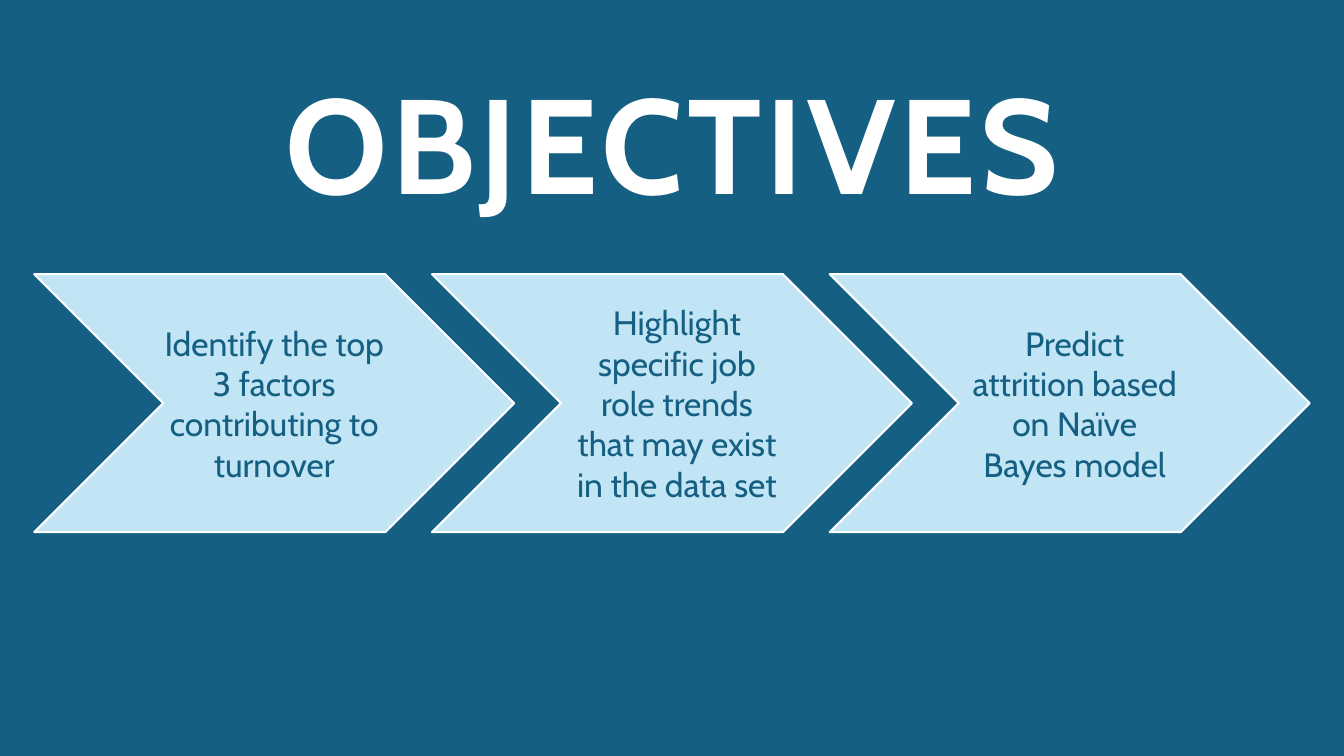
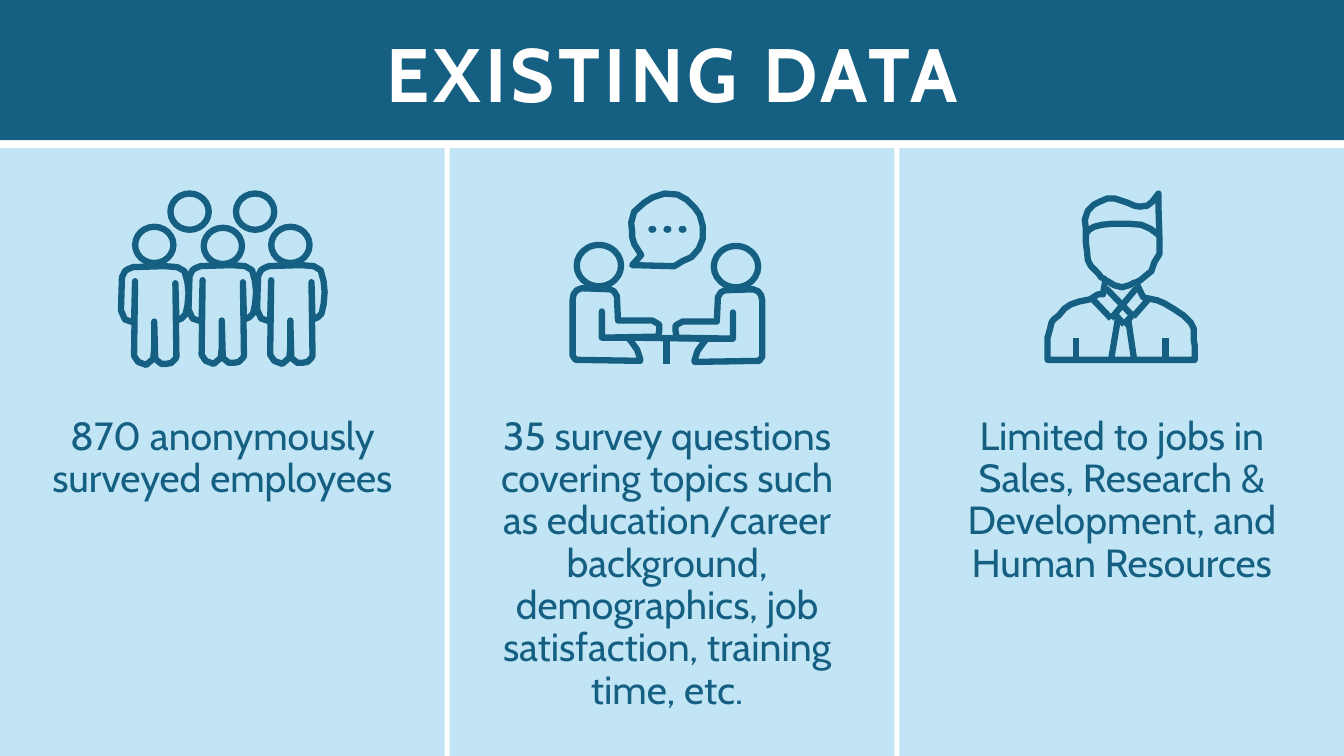
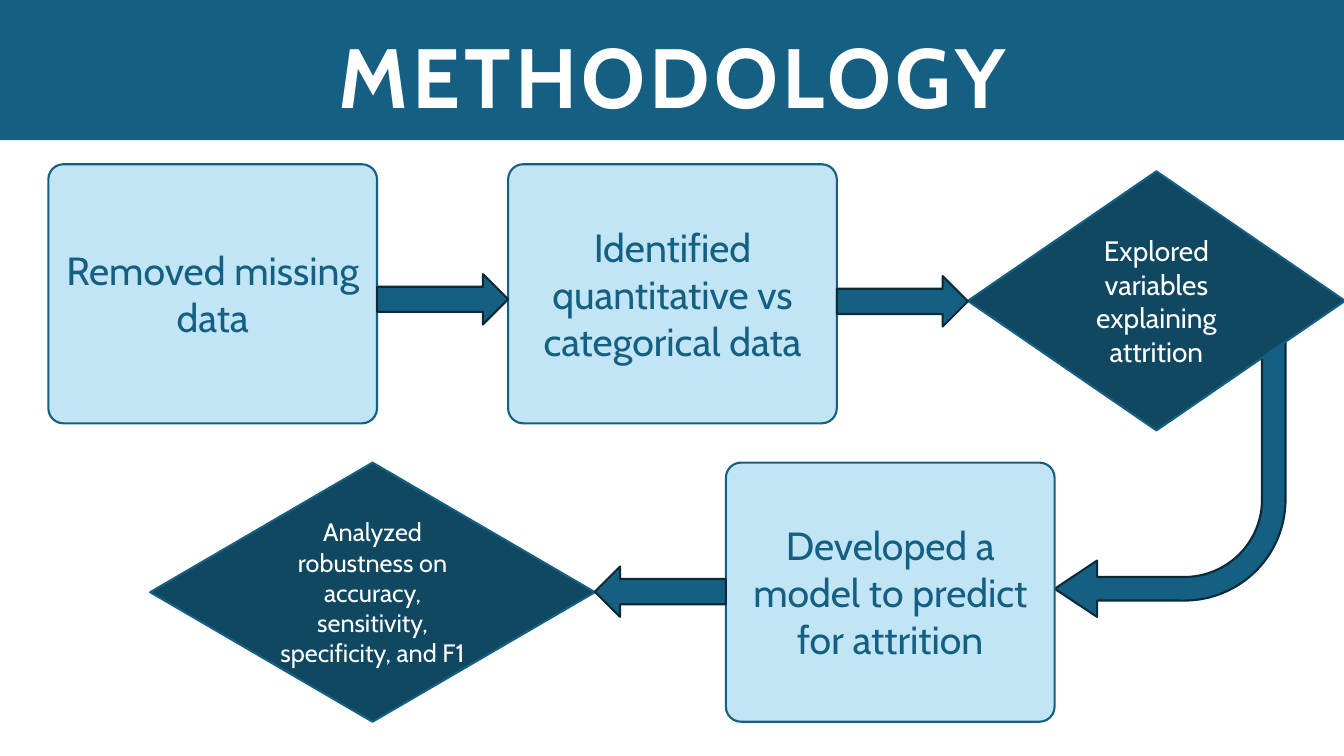
from lxml import etree
from pptx import Presentation
from pptx.dml.color import RGBColor
from pptx.enum.shapes import MSO_CONNECTOR, MSO_SHAPE
from pptx.enum.text import MSO_ANCHOR, MSO_AUTO_SIZE, PP_ALIGN
from pptx.oxml.ns import qn
from pptx.util import Inches, Pt

RECTANGLE = MSO_SHAPE.RECTANGLE
ROUNDED = MSO_SHAPE.ROUNDED_RECTANGLE
CHEVRON = MSO_SHAPE.CHEVRON
OVAL = MSO_SHAPE.OVAL
DECISION = MSO_SHAPE.FLOWCHART_DECISION
RIGHT_ARROW = MSO_SHAPE.RIGHT_ARROW
LEFT_ARROW = MSO_SHAPE.LEFT_ARROW
BENT_ARROW = MSO_SHAPE.BENT_ARROW
STRAIGHT = MSO_CONNECTOR.STRAIGHT
TOP, MIDDLE, BOTTOM = MSO_ANCHOR.TOP, MSO_ANCHOR.MIDDLE, MSO_ANCHOR.BOTTOM
CENTER = PP_ALIGN.CENTER
NO_AUTOFIT = MSO_AUTO_SIZE.NONE

COLORS = {
    "teal": "156082",
    "deep": "104862",
    "night": "092A39",
    "sky": "C1E5F5",
    "white": "FFFFFF",
}
FONT = "Cabin"
ICON_LINE = 4.5
SHAPE_LINE = 1.5

# Icon outlines; a person is measured from its own top left corner
PERSON = [
    (0.01, 0.11), (0, 0.44), (0.04, 0.53), (0.13, 0.56), (0.14, 0.15),
    (0.13, 0.89), (0.17, 0.95), (0.25, 0.98), (0.32, 0.92), (0.33, 0.82),
    (0.33, 0.55), (0.34, 0.92), (0.4, 0.97), (0.45, 0.97), (0.5, 0.96),
    (0.54, 0.92), (0.55, 0.9), (0.54, 0.17), (0.55, 0.54), (0.6, 0.52),
    (0.64, 0.48), (0.66, 0.39), (0.67, 0.27), (0.66, 0.16), (0.63, 0.05),
    (0.56, 0.01), (0.43, 0), (0.12, 0.01), (0.07, 0.03), (0.04, 0.05),
]
SITTER = [
    (5.77, 2.86), (6.05, 2.87), (6.09, 2.89), (6.12, 2.94), (6.12, 2.96),
    (6.13, 3.18), (6.47, 3.18), (6.54, 3.22), (6.54, 3.27), (6.53, 3.33),
    (6.51, 3.34), (5.97, 3.35), (5.97, 3.09), (5.97, 3.35), (6.23, 3.35),
    (6.27, 3.4), (6.32, 3.47), (6.35, 3.56), (6.35, 3.58), (5.71, 3.57),
    (5.68, 3.53), (5.68, 2.97), (5.69, 2.92), (5.72, 2.88),
]
SPEECH_BUBBLE = [
    (6.27, 2.63), (6.36, 2.53), (6.29, 2.42), (6.27, 2.35), (6.27, 2.3),
    (6.26, 2.21), (6.29, 2.1), (6.39, 2.01), (6.47, 1.96), (6.59, 1.92),
    (6.72, 1.93), (6.81, 1.98), (6.89, 2.06), (6.94, 2.13), (6.97, 2.24),
    (6.97, 2.37), (6.93, 2.47), (6.86, 2.55), (6.77, 2.59), (6.69, 2.64),
    (6.66, 2.64),
]
WORKER = [
    (10.39, 3.57), (10.39, 3.35), (10.41, 3.28), (10.43, 3.2), (10.45, 3.17),
    (10.5, 3.13), (10.56, 3.06), (10.62, 3.02), (10.71, 2.99), (10.81, 2.97),
    (10.89, 2.92), (10.94, 2.92), (10.96, 2.8), (10.96, 2.77), (10.92, 2.75),
    (10.9, 2.72), (10.82, 2.64), (10.79, 2.58), (10.78, 2.48), (10.77, 2.41),
    (10.77, 2.27), (10.76, 2.18), (10.79, 2.09), (10.85, 2.03), (10.91, 2),
    (10.98, 1.97), (11.06, 1.97), (11.12, 1.99), (11.18, 2.01), (11.25, 2.04),
    (11.3, 2.05), (11.38, 2.04), (11.43, 2), (11.49, 1.92), (11.49, 2.04),
    (11.5, 2.37), (11.5, 2.52), (11.45, 2.6), (11.42, 2.69), (11.31, 2.78),
    (11.27, 2.8), (11.3, 2.87), (11.34, 2.95), (11.48, 2.98), (11.55, 3.01),
    (11.65, 3.07), (11.74, 3.13), (11.81, 3.2), (11.84, 3.26), (11.84, 3.37),
    (11.85, 3.43), (11.85, 3.57),
]
HAIRLINE = [
    (10.77, 2.32), (10.8, 2.28), (10.85, 2.25), (10.93, 2.23), (11.03, 2.22),
    (11.2, 2.22), (11.32, 2.23), (11.41, 2.27), (11.49, 2.33),
]
CHIN = [(10.97, 2.78), (11.05, 2.83), (11.13, 2.85), (11.2, 2.83), (11.26, 2.8)]
SUIT_LINES = [
    (10.67, 3.35, 10.67, 3.58), (11.56, 3.35, 11.56, 3.58),  # sleeves
    (10.83, 2.96, 11.02, 3.16), (10.97, 2.86, 11.24, 3.14),  # collar
    (11.27, 2.86, 11.02, 3.16), (11.39, 2.97, 11.24, 3.14),
    (11.23, 3.13, 11.14, 3.22), (11.15, 3.22, 11.06, 3.12),  # tie
    (11.02, 3.57, 11.09, 3.15), (11.25, 3.58, 11.19, 3.17),
]


def write_text(frame, text, *, size, color="teal", bold=False, tracking=0,
               anchor=MIDDLE, line_spacing=None, space_before=0, inset=None):
    """Fill a text frame with one centred paragraph; inset is (left, others)."""
    frame.word_wrap = True
    frame.auto_size = NO_AUTOFIT
    frame.vertical_anchor = anchor
    if inset:
        frame.margin_left = Inches(inset[0])
        frame.margin_top = frame.margin_right = frame.margin_bottom = Inches(inset[1])
    para = frame.paragraphs[0]
    para.alignment = CENTER
    para.line_spacing = line_spacing
    para.space_before = Pt(space_before)
    span = para.add_run()
    span.text = text
    span.font.name = FONT
    span.font.size = Pt(size)
    span.font.bold = bold
    span.font.color.rgb = RGBColor.from_string(COLORS[color])
    if tracking:
        span._r.get_or_add_rPr().set("spc", str(tracking * 100))


class Deck:
    def __init__(self):
        self.deck = Presentation()
        self.deck.slide_width = Inches(13.33)
        self.deck.slide_height = Inches(7.5)
        self.slide = None
        self.shapes = None

    def add_slide(self, title, *, top, size, background="white", band=True):
        self.slide = self.deck.slides.add_slide(self.deck.slide_layouts[5])
        self.shapes = self.slide.shapes
        fill = self.slide.background.fill
        fill.solid()
        fill.fore_color.rgb = RGBColor.from_string(COLORS[background])
        box = self.shapes.title
        box.left, box.top = Inches(1.67), Inches(top)
        box.width, box.height = Inches(10), Inches(0.84)
        write_text(box.text_frame, title, size=size, color="white", bold=True,
                   tracking=3, anchor=BOTTOM, line_spacing=0.9)
        if band:
            strip = self.add_shape(RECTANGLE, 0, 0, 13.33, 1.39, fill="teal")
            box.element.addprevious(strip.element)

    def start_icon(self):
        self.shapes = self.slide.shapes.add_group_shape().shapes

    def paint(self, shape, fill, line, weight):
        shape.shadow.inherit = False
        if fill:
            shape.fill.solid()
            shape.fill.fore_color.rgb = RGBColor.from_string(COLORS[fill])
        else:
            shape.fill.background()
        if line:
            shape.line.color.rgb = RGBColor.from_string(COLORS[line])
            shape.line.width = Pt(weight)
        else:
            shape.line.fill.background()

    def add_shape(self, kind, left, top, width, height, *, fill=None, line=None,
                  weight=SHAPE_LINE, adjust=(), text=None, **text_format):
        shape = self.shapes.add_shape(
            kind, Inches(left), Inches(top), Inches(width), Inches(height))
        self.paint(shape, fill, line, weight)
        for index, value in enumerate(adjust):
            shape.adjustments[index] = value
        if text:
            write_text(shape.text_frame, text, **text_format)
        return shape

    def add_text(self, text, left, top, width, height, **text_format):
        box = self.shapes.add_textbox(
            Inches(left), Inches(top), Inches(width), Inches(height))
        write_text(box.text_frame, text, **text_format)

    def add_outline(self, points, closed=True):
        corners = [(Inches(x), Inches(y)) for x, y in points]
        builder = self.shapes.build_freeform(*corners[0])
        builder.add_line_segments(corners[1:], close=closed)
        self.paint(builder.convert_to_shape(), None, "teal", ICON_LINE)

    def add_ring(self, left, top, width, height):
        self.add_shape(OVAL, left, top, width, height, line="teal", weight=ICON_LINE)

    def add_stroke(self, *ends):
        stroke = self.shapes.add_connector(STRAIGHT, *(Inches(end) for end in ends))
        stroke.line.color.rgb = RGBColor.from_string(COLORS["teal"])
        stroke.line.width = Pt(ICON_LINE)
        etree.SubElement(stroke.element.spPr, qn("a:effectLst"))


def build_objectives(deck):
    deck.add_slide("OBJECTIVES", top=1.43, size=96, background="teal", band=False)
    goals = [
        ("Identify the top 3 factors contributing to turnover", 0),
        ("Highlight specific job role trends that may exist in the data set", 0.1),
        ("Predict attrition based on Naïve Bayes model", 0.1),
    ]
    for index, (goal, left_inset) in enumerate(goals):
        deck.add_shape(CHEVRON, 0.34 + 3.945 * index, 2.72, 4.76, 2.56, fill="sky",
                       line="white", text=goal, size=24, inset=(left_inset, 0))


def draw_crowd(deck):
    deck.start_icon()
    for left, top in [(1.2, 2.64), (1.87, 2.63), (2.55, 2.63)]:
        deck.add_outline([(left + x, top + y) for x, y in PERSON])
    for left, top in [(1.34, 2.25), (1.69, 1.92), (2.34, 1.92), (2.02, 2.26), (2.69, 2.25)]:
        deck.add_ring(left, top, 0.38, 0.36)


def draw_interview(deck):
    deck.start_icon()
    deck.add_outline(SITTER)
    deck.add_outline([(13.24 - x, y + 0.01) for x, y in SITTER])
    deck.add_outline(SPEECH_BUBBLE)
    deck.add_ring(5.72, 2.43, 0.44, 0.41)
    deck.add_ring(7.08, 2.44, 0.44, 0.41)
    for index in range(3):
        deck.add_shape(OVAL, 6.43 + 0.15 * index, 2.24, 0.08, 0.07, fill="teal")
    # Table
    deck.add_stroke(6.27, 3.35, 6.96, 3.36)
    deck.add_stroke(6.61, 3.35, 6.61, 3.61)


def draw_worker(deck):
    deck.start_icon()
    deck.add_outline(WORKER)
    deck.add_outline(HAIRLINE, closed=False)
    deck.add_outline(CHIN, closed=False)
    for ends in SUIT_LINES:
        deck.add_stroke(*ends)


def build_existing_data(deck):
    deck.add_slide("EXISTING DATA", top=0.39, size=54)
    facts = [
        (0.36, "870 anonymously surveyed employees"),
        (4.77, "35 survey questions covering topics such as education/career "
               "background, demographics, job satisfaction, training time, etc."),
        (9.28, "Limited to jobs in Sales, Research & Development, and Human Resources"),
    ]
    for index, (left, fact) in enumerate(facts):
        deck.add_shape(RECTANGLE, 4.46 * index, 1.47, 4.41, 6.03, fill="sky")
        deck.add_text(fact, left, 4.08, 3.69, 3.15, size=28, anchor=TOP,
                      line_spacing=0.9, space_before=10)
    draw_crowd(deck)
    draw_interview(deck)
    draw_worker(deck)


def build_methodology(deck):
    deck.add_slide("METHODOLOGY", top=0.47, size=60)
    # The bent arrow starts behind the first decision
    bend = deck.add_shape(BENT_ARROW, 10.46, 3.22, 2.29, 2.9, fill="teal",
                          line="night", adjust=(0.102, 0.122, 0.184, 0.438))
    bend.rotation = 180
    # Steps
    steps = [
        (0.48, 1.63, "Removed missing data"),
        (5.04, 1.63, "Identified quantitative vs categorical data"),
        (7.2, 4.59, "Developed a model to predict for attrition"),
    ]
    for left, top, step in steps:
        deck.add_shape(ROUNDED, left, top, 3.26, 2.57, fill="sky", line="teal",
                       adjust=(0.058,), text=step, size=28)
    # Decisions
    decisions = [
        (9.6, 1.7, 3.74, 20, "Explored variables explaining attrition"),
        (1.49, 4.59, 4.41, 18,
         "Analyzed robustness on accuracy, sensitivity, specificity, and F1"),
    ]
    for left, top, width, size, decision in decisions:
        deck.add_shape(DECISION, left, top, width, 2.57, fill="deep", line="teal",
                       text=decision, size=size, color="white")
    # Straight arrows
    for kind, left, top in [(RIGHT_ARROW, 3.74, 2.72), (RIGHT_ARROW, 8.3, 2.74),
                            (LEFT_ARROW, 5.9, 5.62)]:
        deck.add_shape(kind, left, top, 1.3, 0.5, fill="teal", line="night")


def main():
    deck = Deck()
    build_objectives(deck)
    build_existing_data(deck)
    build_methodology(deck)
    deck.deck.save("out.pptx")


if __name__ == "__main__":
    main()
